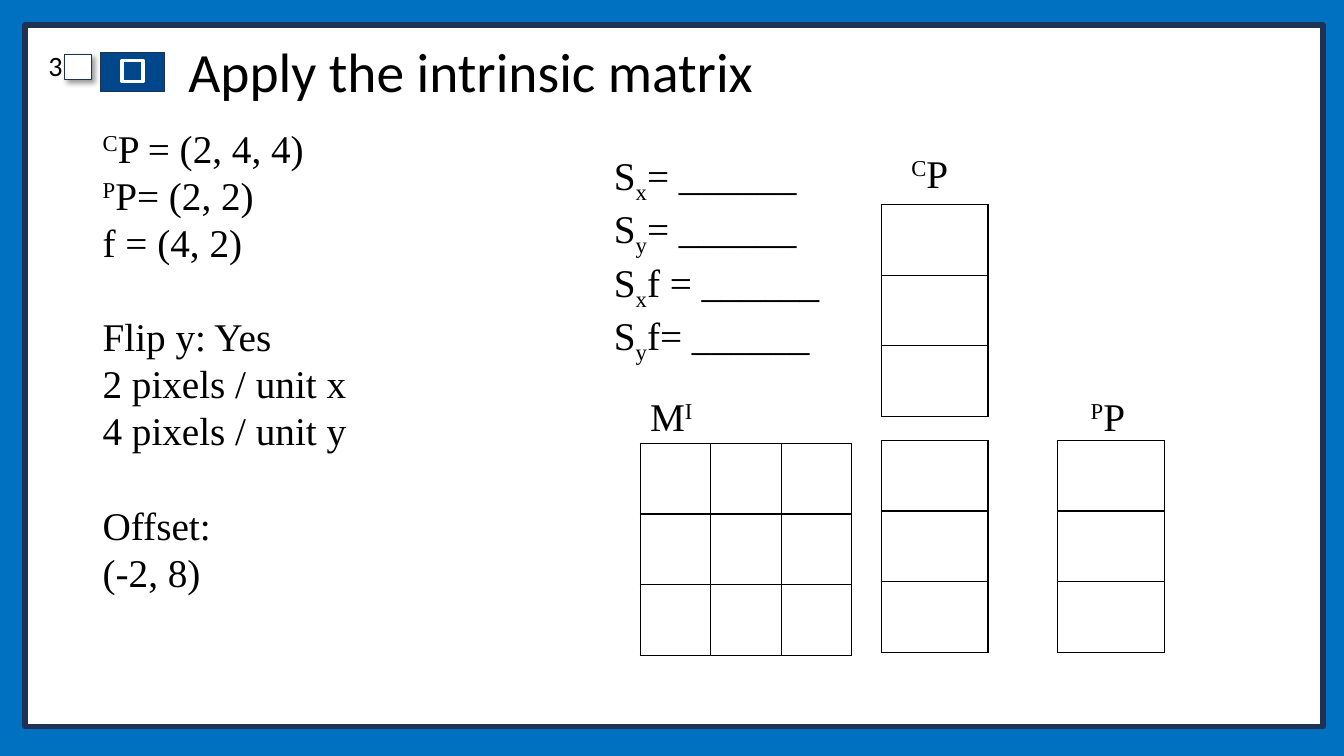
from lxml.etree import SubElement
from pptx import Presentation
from pptx.dml.color import RGBColor
from pptx.enum.shapes import MSO_SHAPE
from pptx.enum.text import MSO_ANCHOR, MSO_AUTO_SIZE, PP_ALIGN
from pptx.oxml.ns import qn
from pptx.util import Inches, Pt

COLORS = {
    "background": "0070C0",
    "navy": "1E3256",
    "marker": "00468B",
    "white": "FFFFFF",
    "black": "000000",
}
SERIF, SANS = "Times New Roman", "Calibri"
SUPER, SUB = 30, -25
CELL = 0.7
VECTOR_WIDTH = 1.06
BLANK_LINE = 33.8


def color(name):
    return RGBColor.from_string(COLORS[name])


def add_run(p, text, size=28, font=SERIF, fill="black", baseline=0):
    """Add a formatted run; baseline is a percentage, negative for subscript."""
    r = p.add_run()
    r.text = text
    r.font.size = Pt(size)
    r.font.name = font
    r.font.color.rgb = color(fill)
    if baseline:
        r.font._element.set("baseline", str(baseline * 1000))


class SlideBuilder:
    def __init__(self, prs):
        self.s = prs.slides.add_slide(prs.slide_layouts[6])
        self.s.background.fill.solid()
        self.s.background.fill.fore_color.rgb = color("background")

    def rect(self, left, top, width, height, fill, line, weight, shadow=False):
        sp = self.s.shapes.add_shape(MSO_SHAPE.RECTANGLE, Inches(left), Inches(top),
                                     Inches(width), Inches(height))
        sp.fill.solid()
        sp.fill.fore_color.rgb = color(fill)
        sp.line.color.rgb = color(line)
        sp.line.width = Pt(weight)
        sp.shadow.inherit = False
        if shadow:
            effects = sp._element.spPr.find(qn("a:effectLst"))
            outer = SubElement(effects, qn("a:outerShdw"), blurRad=str(Pt(4)),
                               dist=str(Pt(3)), dir=str(45 * 60000),
                               algn="tl", rotWithShape="0")
            tone = SubElement(outer, qn("a:srgbClr"), val=COLORS["black"])
            SubElement(tone, qn("a:alpha"), val="40000")

    def text(self, left, top, width, height, lines, wrap=True, grow=True,
             anchor=MSO_ANCHOR.TOP, align=PP_ALIGN.LEFT, spacing=None,
             before=None, **style):
        """Each line is a list of (text, baseline) runs; before maps line to points."""
        tf = self.s.shapes.add_textbox(Inches(left), Inches(top), Inches(width),
                                       Inches(height)).text_frame
        tf.word_wrap = wrap
        tf.auto_size = MSO_AUTO_SIZE.SHAPE_TO_FIT_TEXT if grow else MSO_AUTO_SIZE.NONE
        tf.vertical_anchor = anchor
        for i, line in enumerate(lines):
            p = tf.paragraphs[0] if i == 0 else tf.add_paragraph()
            p.alignment = align
            if spacing:
                p.line_spacing = spacing
            if before and i in before:
                p.space_before = Pt(before[i])
            for text, baseline in line:
                add_run(p, text, baseline=baseline, **style)

    def grid(self, left, top, columns, column_width):
        """Add an empty three-row table with thin black borders."""
        table = self.s.shapes.add_table(3, columns, Inches(left), Inches(top),
                                        Inches(columns * column_width),
                                        Inches(3 * CELL)).table
        table.first_row = table.horz_banding = False
        for cell in table.iter_cells():
            tcPr = cell._tc.get_or_add_tcPr()
            for side in ("lnL", "lnR", "lnT", "lnB"):
                ln = SubElement(tcPr, qn(f"a:{side}"), w=str(Pt(1)))
                fill = SubElement(ln, qn("a:solidFill"))
                SubElement(fill, qn("a:srgbClr"), val=COLORS["black"])
            cell.fill.background()


def main():
    prs = Presentation()
    prs.slide_width, prs.slide_height = Inches(13.33), Inches(7.5)
    b = SlideBuilder(prs)

    # Frame, title marker and number box
    b.rect(0.25, 0.25, 12.87, 6.96, "white", "navy", 4)
    b.rect(1, 0.52, 0.63, 0.39, "marker", "navy", 1)
    b.rect(1.21, 0.6, 0.21, 0.21, "marker", "white", 2.5)
    b.rect(0.64, 0.54, 0.27, 0.25, "white", "navy", 1, shadow=True)
    b.text(-0.02, 0.47, 0.74, 0.45, [[("3", 0)]], grow=False, align=PP_ALIGN.RIGHT,
           spacing=0.9, before={0: 10}, size=20, font=SANS)
    b.text(1.77, 0.4, 10.65, 0.68, [[("Apply the intrinsic matrix", 0)]], grow=False,
           anchor=MSO_ANCHOR.MIDDLE, spacing=0.9, size=39.6, font=SANS)

    # Intrinsic matrix and point vectors
    b.grid(6.35, 4.4, 3, CELL)
    for left, top in ((8.74, 2.03), (8.74, 4.37), (10.49, 4.37)):
        b.grid(left, top, 1, VECTOR_WIDTH)
    for left, top, width, label in (
        (8.94, 1.43, 0.6, [("C", SUPER), ("P", 0)]),
        (10.72, 3.84, 0.57, [("P", SUPER), ("P", 0)]),
        (6.35, 3.84, 0.64, [("M", 0), ("I", SUPER)]),
    ):
        b.text(left, top, width, 0.57, [label], wrap=False)

    # Given values, with a gap before each new group
    givens = [[("C", SUPER), ("P = (2, 4, 4)", 0)], [("P", SUPER), ("P= (2, 2)", 0)]]
    givens += [[(text, 0)] for text in (
        "f = (4, 2)", "Flip y: Yes", "2 pixels / unit x", "4 pixels / unit y",
        "Offset:", "(-2, 8)")]
    b.text(0.92, 1.18, 2.64, 4.81, givens, wrap=False,
           before={3: BLANK_LINE, 6: BLANK_LINE})

    # Scale factors to fill in
    scales = (("x", "= ______"), ("y", "= ______"), ("x", "f = ______"), ("y", "f= ______"))
    b.text(5.99, 1.45, 2.71, 1.99,
           [[("S", 0), (axis, SUB), (rest, 0)] for axis, rest in scales])

    prs.save("out.pptx")


if __name__ == "__main__":
    main()
